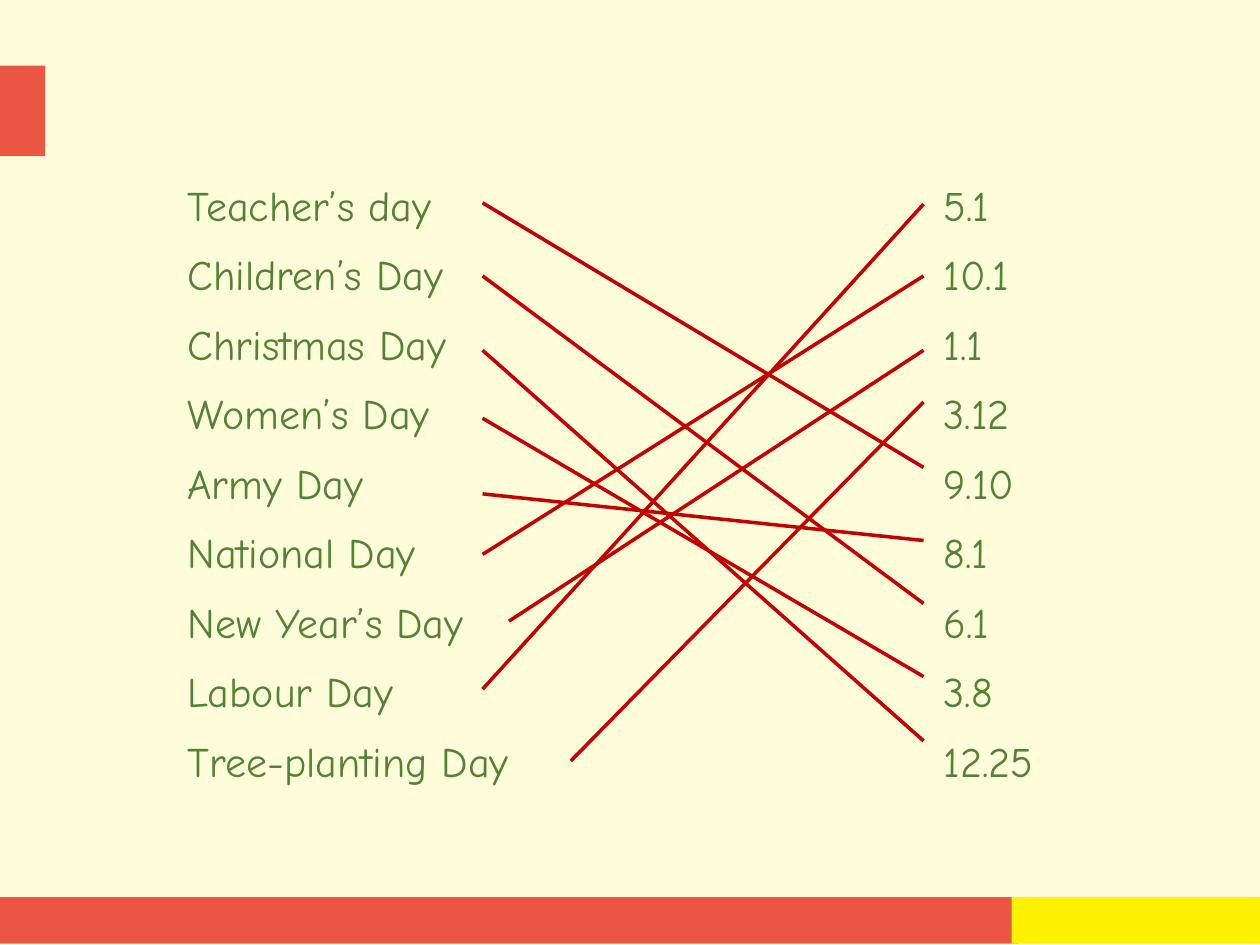
from lxml import etree
from pptx import Presentation
from pptx.dml.color import RGBColor
from pptx.enum.shapes import MSO_CONNECTOR, MSO_SHAPE
from pptx.oxml.ns import qn
from pptx.util import Inches, Pt

RECTANGLE = MSO_SHAPE.RECTANGLE
STRAIGHT = MSO_CONNECTOR.STRAIGHT

COLORS = {
    "cream": "FFFCDA",
    "coral": "EA5642",
    "yellow": "FEF200",
    "green": "548235",
    "red": "C00000",
}

prs = Presentation()
prs.slide_width = Inches(10)
prs.slide_height = Inches(7.5)
slide = prs.slides.add_slide(prs.slide_layouts[6])

bands = [
    (0, 0, 10, 7.5, "cream"),
    (0, 7.12, 8.08, 0.37, "coral"),
    (8.03, 7.12, 1.97, 0.37, "yellow"),
    (0, 0.52, 0.36, 0.72, "coral"),
]
for left, top, width, height, color in bands:
    band = slide.shapes.add_shape(
        RECTANGLE, Inches(left), Inches(top), Inches(width), Inches(height)
    )
    band.shadow.inherit = False
    band.fill.solid()
    band.fill.fore_color.rgb = RGBColor.from_string(COLORS[color])
    band.line.fill.background()

holidays = [
    ("Teacher’s day", "5.1"),
    ("Children’s Day", "10.1"),
    ("Christmas Day", "1.1"),
    ("Women’s Day", "3.12"),
    ("Army Day", "9.10"),
    ("National Day", "8.1"),
    ("New Year’s Day", "6.1"),
    ("Labour Day", "3.8"),
    ("Tree-planting Day", "12.25"),
]
holiday_list = slide.shapes.add_textbox(
    Inches(1.39), Inches(1.22), Inches(7.21), Inches(5.06)
).text_frame
holiday_list.word_wrap = True
for row, (holiday, date) in enumerate(holidays):
    entry = holiday_list.paragraphs[0] if row == 0 else holiday_list.add_paragraph()
    tabs = etree.SubElement(entry._p.get_or_add_pPr(), qn("a:tabLst"))
    etree.SubElement(tabs, qn("a:tab"), pos=str(Inches(6)), algn="l")
    entry.line_spacing = 1.38
    words = entry.add_run()
    words.text = f"{holiday}\t{date}"
    words.font.size = Pt(24)
    words.font.name = "Comic Neue"
    words.font.color.rgb = RGBColor.from_string(COLORS["green"])

DATE_EDGE = 7.33
matches = [
    (3.83, 1.61, 3.71),
    (3.83, 2.19, 4.79),
    (3.83, 2.78, 5.88),
    (3.83, 3.32, 5.37),
    (3.83, 3.92, 4.29),
    (3.83, 4.4, 2.19),
    (4.04, 4.93, 2.78),
    (3.83, 5.47, 1.62),
    (4.53, 6.04, 3.19),
]
for holiday_edge, holiday_y, date_y in matches:
    match = slide.shapes.add_connector(
        STRAIGHT, Inches(holiday_edge), Inches(holiday_y), Inches(DATE_EDGE), Inches(date_y)
    )
    match.line.color.rgb = RGBColor.from_string(COLORS["red"])
    match.line.width = Pt(2)
    etree.SubElement(match._element.spPr, qn("a:effectLst"))

prs.save("out.pptx")
